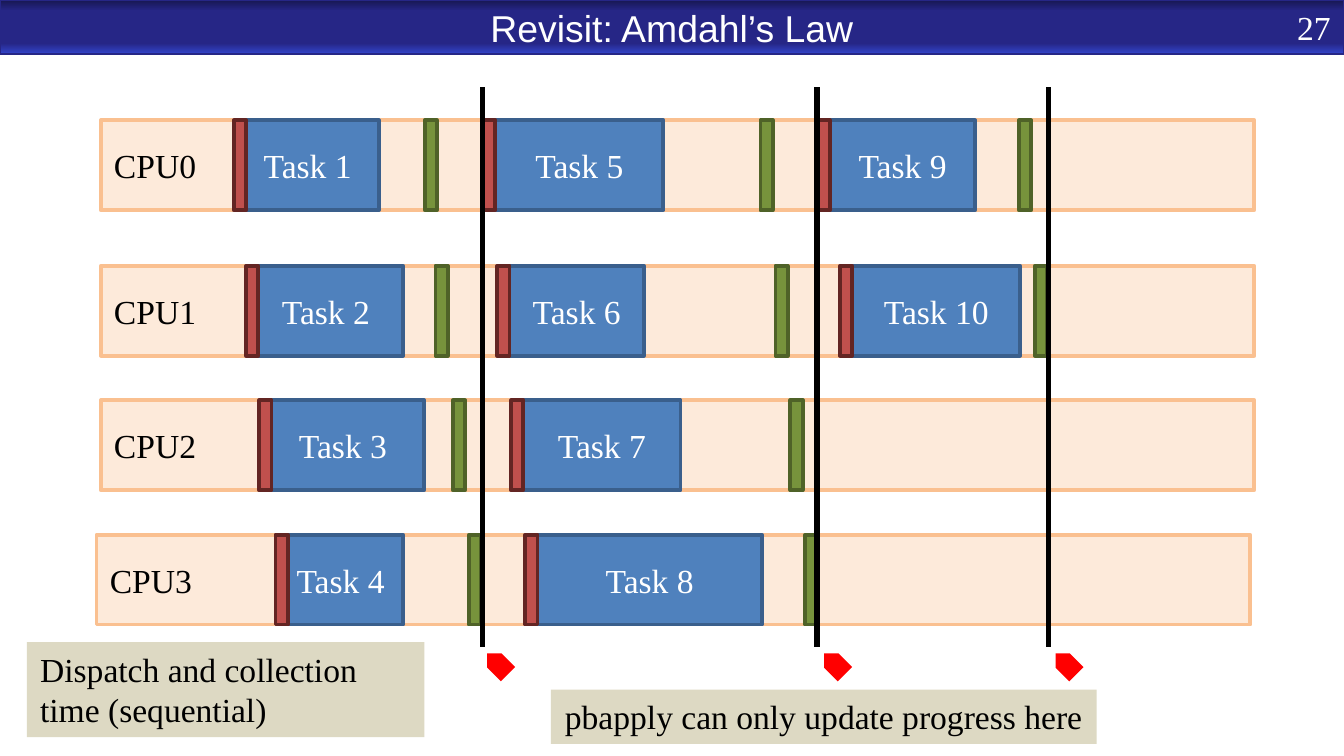
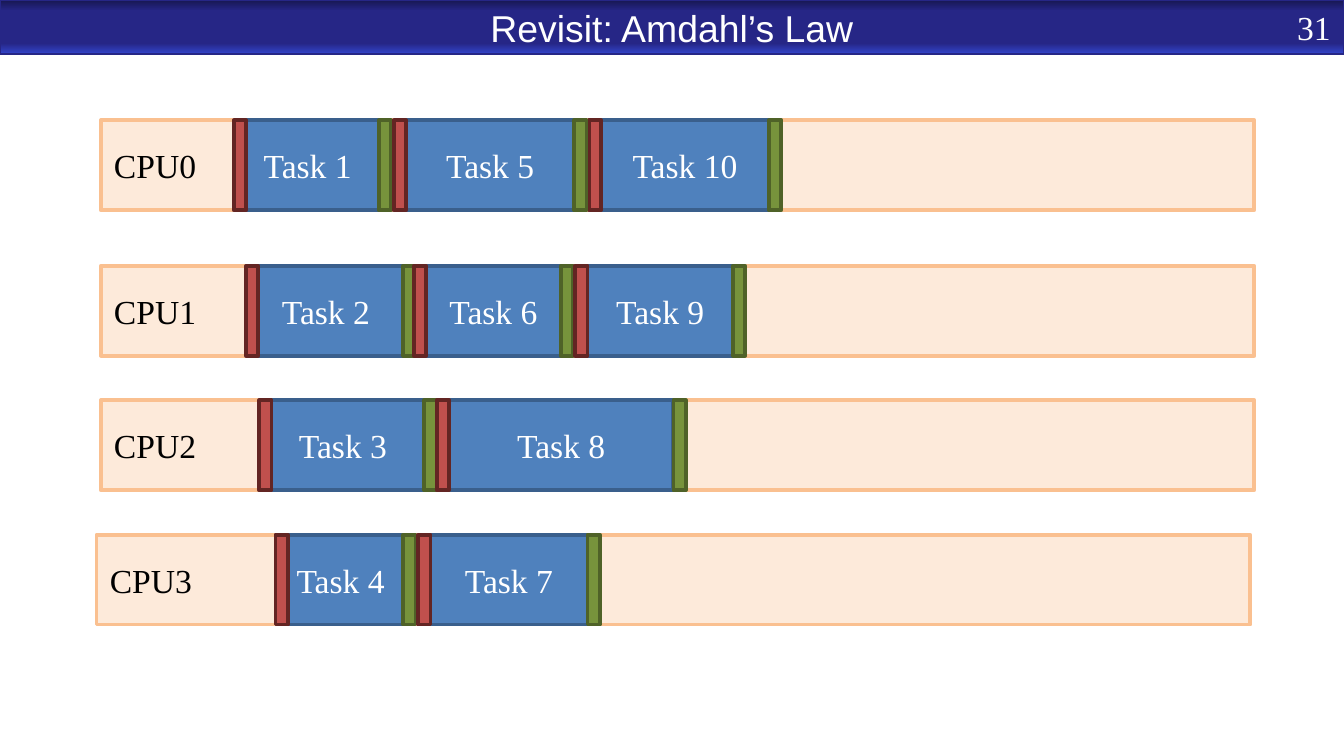
from lxml.etree import SubElement
from pptx import Presentation
from pptx.dml.color import RGBColor
from pptx.enum.shapes import MSO_CONNECTOR, MSO_SHAPE
from pptx.enum.text import MSO_ANCHOR, MSO_AUTO_SIZE, PP_ALIGN
from pptx.oxml.ns import qn
from pptx.util import Pt

# Colours and fonts
WHITE = RGBColor(0xFF, 0xFF, 0xFF)
BLACK = RGBColor(0x00, 0x00, 0x00)
RED = RGBColor(0xFF, 0x00, 0x00)
NAVY = RGBColor(0x26, 0x26, 0x86)
DARK_NAVY = RGBColor(0x17, 0x17, 0x51)
BRIGHT_NAVY = RGBColor(0x33, 0x45, 0xCB)
TAN = RGBColor(0xDD, 0xD9, 0xC3)
LANE = (RGBColor(0xFD, 0xEA, 0xDA), RGBColor(0xFA, 0xC0, 0x90))  # fill, line
TASK = (RGBColor(0x4F, 0x81, 0xBD), RGBColor(0x3A, 0x5F, 0x8C))
DISPATCH = (RGBColor(0xC0, 0x50, 0x4D), RGBColor(0x63, 0x25, 0x23))
COLLECT = (RGBColor(0x77, 0x93, 0x3C), RGBColor(0x4F, 0x62, 0x28))
BAND_STOPS = [(0, DARK_NAVY), (20, NAVY), (80, NAVY), (100, BRIGHT_NAVY)]
SANS, SERIF = "Arial", "Times New Roman"

# Content (lengths in points)
TITLE = "Revisit: Amdahl’s Law"
LANES = [("CPU0", 54, 64.5), ("CPU1", 54, 142.4),
         ("CPU2", 54, 214.5), ("CPU3", 51.8, 286.5)]  # name, left, top
LANE_W, LANE_H, MARK_W = 618, 48.2, 6.6
DURATIONS = {1: 76.3, 2: 82.8, 3: 87.1, 4: 67, 5: 90,
             6: 72, 7: 84.2, 8: 120.2, 9: 77.8, 10: 90}

# Task, CPU, dispatch start, collection start (None: as soon as the task ends)
BATCHED = [
    (1, 0, 125.3, 227.5), (2, 1, 131.8, 233.3),
    (3, 2, 138.8, 242.6), (4, 3, 147.6, 251.2),
    (5, 0, 258.8, 407.4), (6, 1, 266.4, 415.4),
    (7, 2, 273.8, 423.4), (8, 3, 281.4, 431.3),
    (9, 0, 438, 545.8), (10, 1, 450, 554.4),
]
BALANCED = [
    (1, 0, 125.3, None), (2, 1, 131.8, None),
    (3, 2, 138.8, None), (4, 3, 147.6, None),
    (6, 1, 221.8, None), (7, 3, 224, None), (9, 1, 308.2, None),
    (10, 0, 315.4, None), (5, 0, 211, None), (8, 2, 234, None),
]
BARRIERS = [(258.5, 258.7), (437.8, 439.2), (561.6, 563.2)]  # line x, arrow left
CALLOUTS = [
    ("pbapply can only update progress here", (295.2, 369.4, 292.3, 29.1), PP_ALIGN.CENTER),
    ("Dispatch and collection time (sequential)", (14.4, 344, 212.9, 50.9), PP_ALIGN.LEFT),
]


def write(sp, text, color, align, size=18, font=SERIF, anchor=MSO_ANCHOR.MIDDLE):
    tf = sp.text_frame
    tf.word_wrap = True
    tf.vertical_anchor = anchor
    p = tf.paragraphs[0]
    p.text = text
    p.alignment = align
    p.font.size, p.font.name, p.font.color.rgb = Pt(size), font, color


def add_box(s, box, fill, line=None, kind=MSO_SHAPE.RECTANGLE):
    sp = s.shapes.add_shape(kind, *map(Pt, box))
    sp.shadow.inherit = False
    sp.fill.solid()
    sp.fill.fore_color.rgb = fill
    if line is None:
        sp.line.fill.background()
    else:
        sp.line.color.rgb, sp.line.width = line, Pt(2)
    return sp


def add_titled_slide(prs, number):
    s = prs.slides.add_slide(prs.slide_layouts[5])
    # Title band
    band = s.shapes.title
    band.left, band.top, band.width, band.height = map(Pt, (0, 0, 720, 29))
    write(band, TITLE, WHITE, PP_ALIGN.CENTER, 20, SANS)
    band.text_frame.auto_size = MSO_AUTO_SIZE.NONE
    band.line.color.rgb, band.line.width = NAVY, Pt(1.5)
    band.fill.gradient()
    band.fill.gradient_angle = 270
    stops = band.element.spPr.find(qn("a:gradFill")).find(qn("a:gsLst"))
    stops.clear()
    for pos, color in BAND_STOPS:
        gs = SubElement(stops, qn("a:gs"), pos=str(pos * 1000))
        SubElement(gs, qn("a:srgbClr"), val=str(color))
    # Page number
    write(s.shapes.add_textbox(Pt(630), Pt(3.6), Pt(90), Pt(21.6)),
          str(number), WHITE, PP_ALIGN.RIGHT)
    return s


def add_schedule(s, schedule):
    for name, x, y in LANES:
        lane = add_box(s, (x, y, LANE_W, LANE_H), *LANE)
        write(lane, name, BLACK, PP_ALIGN.LEFT)
    for task, cpu, start, collect in schedule:
        y = LANES[cpu][2]
        # First-round tasks begin under their dispatch mark, later ones after it
        x = start + (1.4 if task <= len(LANES) else MARK_W)
        w = DURATIONS[task]
        block = add_box(s, (x, y, w, LANE_H), *TASK)
        write(block, f"Task {task}", WHITE, PP_ALIGN.CENTER)
        add_box(s, (start, y, MARK_W, LANE_H), *DISPATCH)
        end = x + w if collect is None else collect
        add_box(s, (end, y, MARK_W, LANE_H), *COLLECT)


def add_barriers(s):
    for x, arrow_x in BARRIERS:
        line = s.shapes.add_connector(MSO_CONNECTOR.STRAIGHT, Pt(x), Pt(346.5), Pt(x), Pt(46.8))
        line.line.color.rgb, line.line.width = BLACK, Pt(3)
        SubElement(line.element.spPr, qn("a:effectLst"))
        arrow = add_box(s, (arrow_x, 350.2, 15.8, 10.8), RED, kind=MSO_SHAPE.PENTAGON)
        arrow.rotation = 45
        arrow.element.spPr.xfrm.set("flipH", "1")


def add_callouts(s):
    for text, box, align in CALLOUTS:
        sp = add_box(s, box, TAN)
        write(sp, text, BLACK, align, anchor=MSO_ANCHOR.TOP)
        sp.text_frame.auto_size = MSO_AUTO_SIZE.SHAPE_TO_FIT_TEXT


def main():
    prs = Presentation()
    prs.slide_width, prs.slide_height = Pt(720), Pt(405)

    # Tasks run in batches
    s = add_titled_slide(prs, 27)
    add_schedule(s, BATCHED)
    add_barriers(s)
    add_callouts(s)

    # Tasks dispatched as soon as a CPU is free
    s = add_titled_slide(prs, 31)
    add_schedule(s, BALANCED)

    prs.save("out.pptx")


if __name__ == "__main__":
    main()
